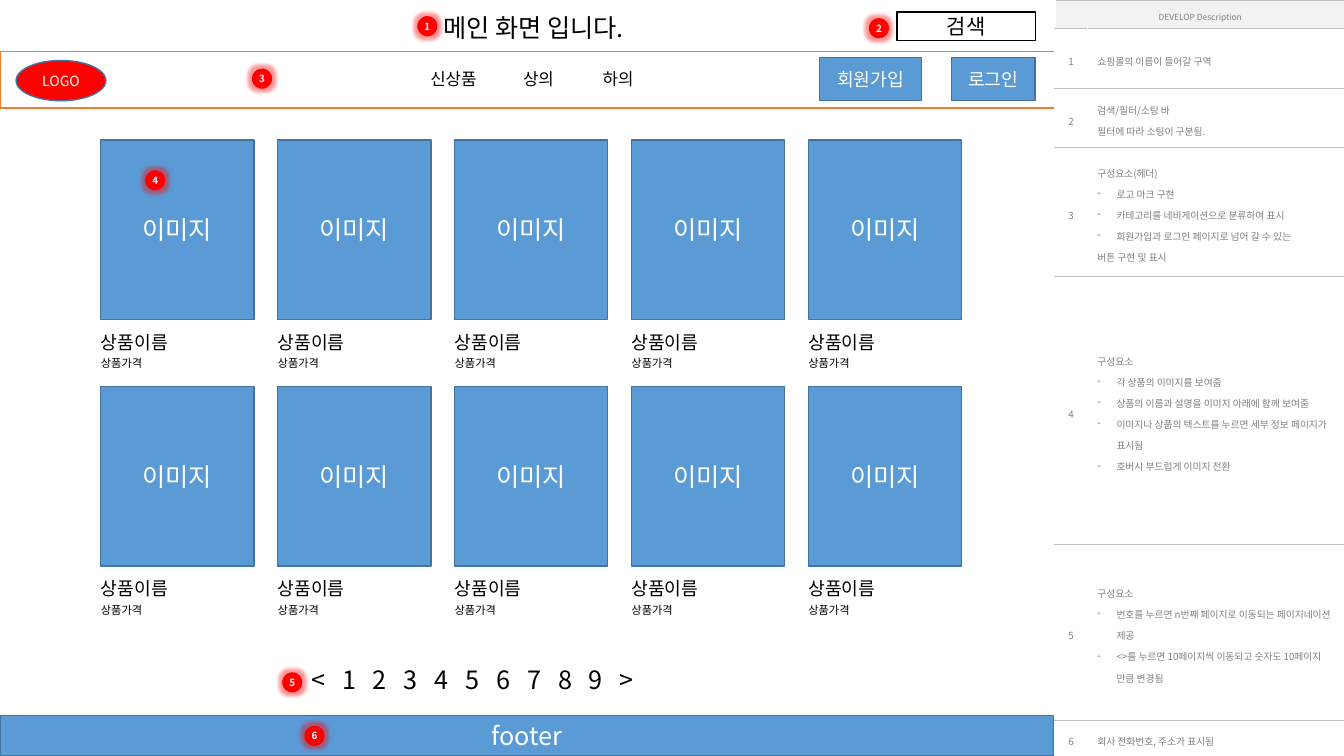
from lxml.etree import SubElement
from pptx import Presentation
from pptx.dml.color import RGBColor
from pptx.enum.shapes import MSO_SHAPE
from pptx.enum.text import MSO_ANCHOR, PP_ALIGN
from pptx.oxml.ns import qn
from pptx.util import Inches, Pt

FONT = "Noto Sans CJK KR"
COLORS = {
    "white": "FFFFFF", "black": "000000", "blue": "5B9BD5", "navy": "43739E",
    "red": "FF0000", "orange": "ED7D31", "gray": "808080", "rule": "BFBFBF",
    "heading": "F2F2F2",
}

presentation = Presentation()
presentation.slide_width = Inches(13.33)
presentation.slide_height = Inches(7.5)
slide = presentation.slides.add_slide(presentation.slide_layouts[6])


def write(text, frame=None, box=None, size=12, color="black", bold=False,
          align=PP_ALIGN.LEFT, anchor=MSO_ANCHOR.TOP, spacing=None, tab=None):
    """Write lines into a frame, or into a new text box; "- " starts a bullet."""
    if frame is None:
        frame = slide.shapes.add_textbox(*place(*box)).text_frame
    frame.word_wrap = True
    frame.vertical_anchor = anchor
    for index, line in enumerate(text.split("\n")):
        paragraph = frame.add_paragraph() if index else frame.paragraphs[0]
        paragraph.alignment = align
        if spacing:
            paragraph.line_spacing = spacing
        properties = paragraph._p.get_or_add_pPr()
        if line.startswith("- "):
            properties.set("marL", str(Inches(0.19)))
            properties.set("indent", str(-Inches(0.19)))
            SubElement(properties, qn("a:buChar"), char="-")
        if tab:
            stops = SubElement(properties, qn("a:tabLst"))
            for number in range(1, line.count("\t") + 1):
                SubElement(stops, qn("a:tab"), pos=str(number * tab), algn="l")
        run = paragraph.add_run()
        run.text = line.removeprefix("- ")
        run.font.size = Pt(size)
        run.font.bold = bold
        run.font.color.rgb = RGBColor.from_string(COLORS[color])
        run.font.name = FONT
        SubElement(run._r.get_or_add_rPr(), qn("a:ea"), typeface=FONT)


def place(left, top, width, height):
    """Turn percentages of the slide's width and height into lengths."""
    across = presentation.slide_width / 100
    down = presentation.slide_height / 100
    return (int(left * across), int(top * down),
            int(width * across), int(height * down))


# Filled boxes: kind, place, fill, line, text, size, text colour
RECT, OVAL = MSO_SHAPE.RECTANGLE, MSO_SHAPE.OVAL
boxes = [
    (RECT, (0, 6.8, 78.5, 7.47), "white", "orange", "", 12, "black"),
    (OVAL, (1.2, 8, 6.68, 5.33), "red", "navy", "LOGO", 10, "white"),
    (RECT, (60.98, 7.6, 7.58, 5.73), "blue", "navy", "회원가입", 13, "white"),
    (RECT, (70.8, 7.6, 6.22, 5.73), "blue", "navy", "로그인", 13, "white"),
    (RECT, (66.75, 1.6, 10.28, 3.73), "white", "black", "검색", 15, "black"),
    (RECT, (0, 94.67, 78.38, 5.33), "blue", "navy", "footer", 18, "white"),
]

# Product cards: five columns by two rows
for row in range(2):
    for column in range(5):
        left, top = 7.5 + column * 13.16, 18.53 + row * 32.6
        boxes.append((RECT, (left, top, 11.4, 23.73), "blue", "navy", "이미지", 18, "white"))
        write("상품이름", box=(left - 0.73, top + 24.6, 10.5, 5.07), size=13)
        write("상품가격", box=(left - 0.73, top + 28, 7.58, 4.93), size=8)

# Numbered badges, in the order of the description table
badges = [(31.05, 2.13), (64.65, 2.4), (18.75, 9.07),
          (10.8, 22.53), (21, 88.93), (22.65, 96)]
for number, (left, top) in enumerate(badges, start=1):
    boxes.append((OVAL, (left, top, 1.5, 2.67), "red", None, str(number), 7, "white"))

for kind, box, fill, line, text, size, color in boxes:
    shape = slide.shapes.add_shape(kind, *place(*box))
    shape.shadow.inherit = False
    shape.fill.solid()
    shape.fill.fore_color.rgb = RGBColor.from_string(COLORS[fill])
    if line:
        shape.line.color.rgb = RGBColor.from_string(COLORS[line])
        shape.line.width = Pt(1)
    else:
        shape.line.fill.background()
        frame = shape.text_frame
        frame.margin_left = frame.margin_right = 0
        frame.margin_top = frame.margin_bottom = 0
        effects = shape._element.spPr.find(qn("a:effectLst"))
        glow = SubElement(effects, qn("a:glow"), rad=str(Pt(5)))
        glow_color = SubElement(glow, qn("a:srgbClr"), val=COLORS[fill])
        SubElement(glow_color, qn("a:alpha"), val="40000")
    if text:
        write(text, frame=shape.text_frame, size=size, color=color, bold=line is None,
              align=PP_ALIGN.CENTER, anchor=MSO_ANCHOR.MIDDLE)

# Title, navigation and page numbers
write("메인 화면 입니다.", box=(32.25, 0.93, 17.03, 5.33), size=18)
for category, left, width in [("신상품", 31.28, 6.22), ("상의", 38.18, 4.35),
                              ("하의", 44.1, 4.35)]:
    write(category, box=(left, 8.4, width, 4))
write("\t".join("<123456789>"), box=(22.42, 87.2, 33.45, 5.33), size=18, tab=Inches(0.306))

# Description table
descriptions = [
    "쇼핑몰의 이름이 들어갈 구역",
    "검색/필터/소팅 바\n필터에 따라 소팅이 구분됨.",
    "구성요소(헤더)\n- 로고 마크 구현\n- 카테고리를 네비게이션으로 분류하여 표시\n"
    "- 회원가입과 로그인 페이지로 넘어 갈 수 있는\n버튼 구현 및 표시",
    "구성요소\n- 각 상품의 이미지를 보여줌\n- 상품의 이름과 설명을 이미지 아래에 함께 보여줌\n"
    "- 이미지나 상품의 텍스트를 누르면 세부 정보 페이지가 표시됨\n- 호버시 부드럽게 이미지 전환",
    "구성요소\n- 번호를 누르면 n번째 페이지로 이동되는 페이지네이션 제공\n"
    "- <>를 누르면 10페이지씩 이동되고 숫자도 10페이지 만큼 변경됨",
    "회사 전화번호, 주소가 표시됨",
]
column_shares = [2.4, 19.2]
row_shares = [3.73, 7.87, 7.87, 17.07, 35.47, 23.2, 4.79]
table = slide.shapes.add_table(
    len(row_shares), len(column_shares),
    *place(78.5, 0, sum(column_shares), sum(row_shares))).table
table.first_row = table.horz_banding = False
for column, share in zip(table.columns, column_shares):
    column.width = int(presentation.slide_width * share / 100)
for row, share in zip(table.rows, row_shares):
    row.height = int(presentation.slide_height * share / 100)

rows = [("DEVELOP Description", "")]
rows += [(str(number), text) for number, text in enumerate(descriptions, start=1)]
for row_index, texts in enumerate(rows):
    heading = row_index == 0
    for column_index, text in enumerate(texts):
        cell = table.cell(row_index, column_index)
        sides = ["a:lnT", "a:lnB"] if heading or column_index == 0 else ["a:lnL", "a:lnT", "a:lnB"]
        for side in sides:
            border = SubElement(cell._tc.get_or_add_tcPr(), qn(side), w=str(Pt(0.25)))
            border_fill = SubElement(border, qn("a:solidFill"))
            SubElement(border_fill, qn("a:srgbClr"), val=COLORS["rule"])
        if heading:
            cell.fill.solid()
            cell.fill.fore_color.rgb = RGBColor.from_string(COLORS["heading"])
            cell.margin_top = cell.margin_bottom = 0
        else:
            cell.fill.background()
        cell.vertical_anchor = MSO_ANCHOR.MIDDLE
        if text:
            write(text, frame=cell.text_frame, size=6 if heading else 7, color="gray",
                  align=PP_ALIGN.LEFT if column_index else PP_ALIGN.CENTER,
                  anchor=MSO_ANCHOR.MIDDLE, spacing=1.5)
table.cell(0, 0).merge(table.cell(0, 1))

presentation.save("out.pptx")
